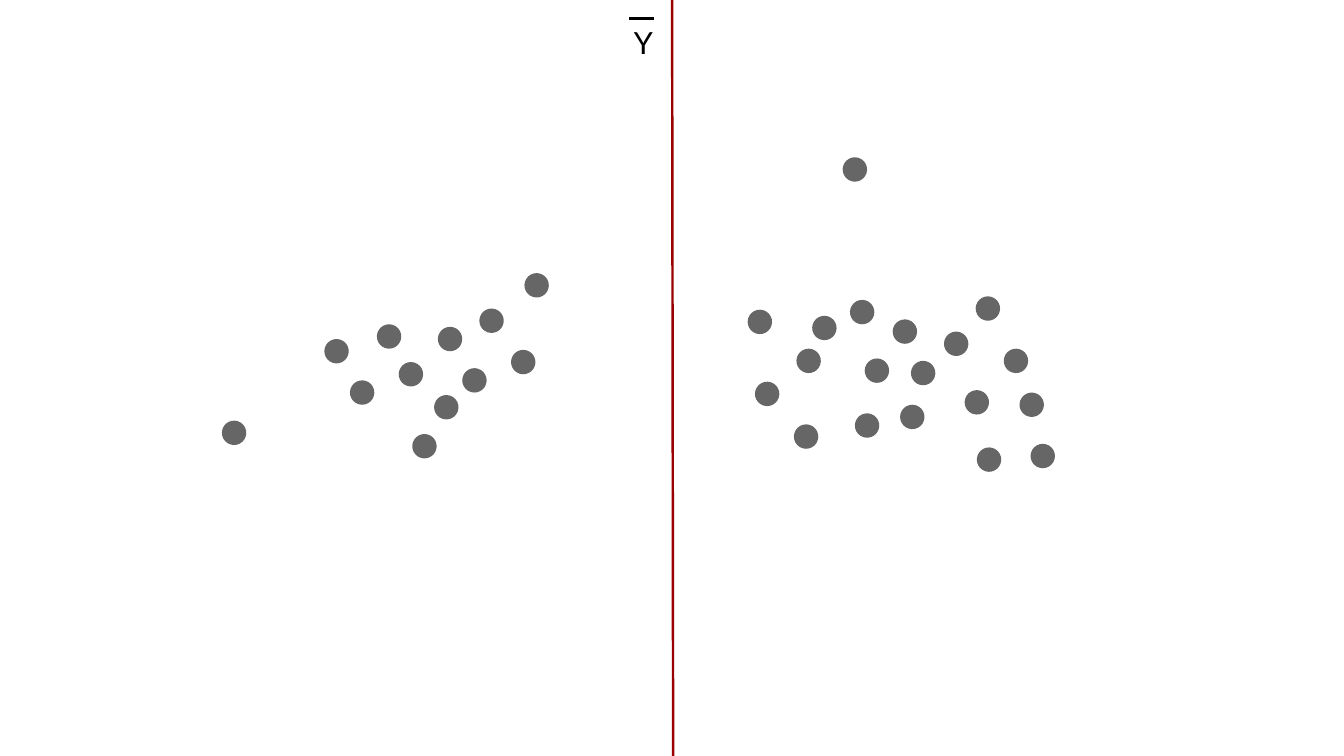
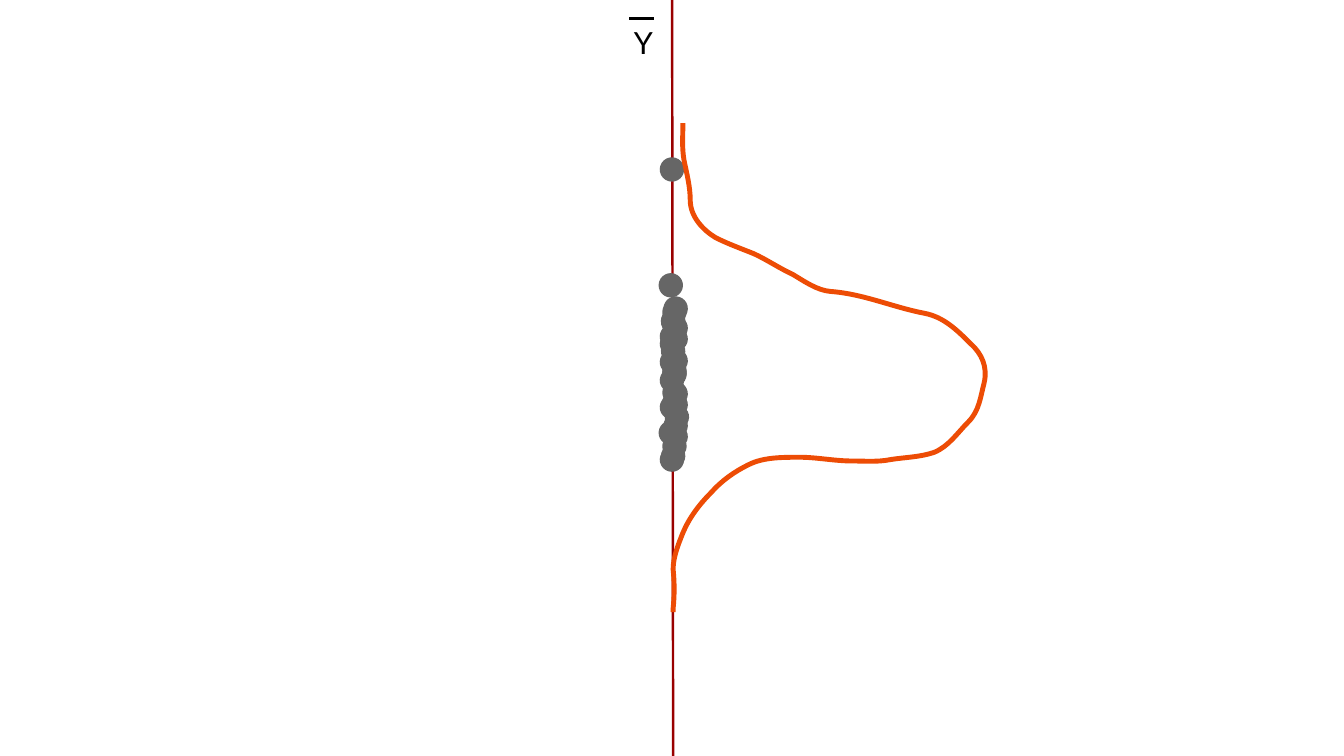
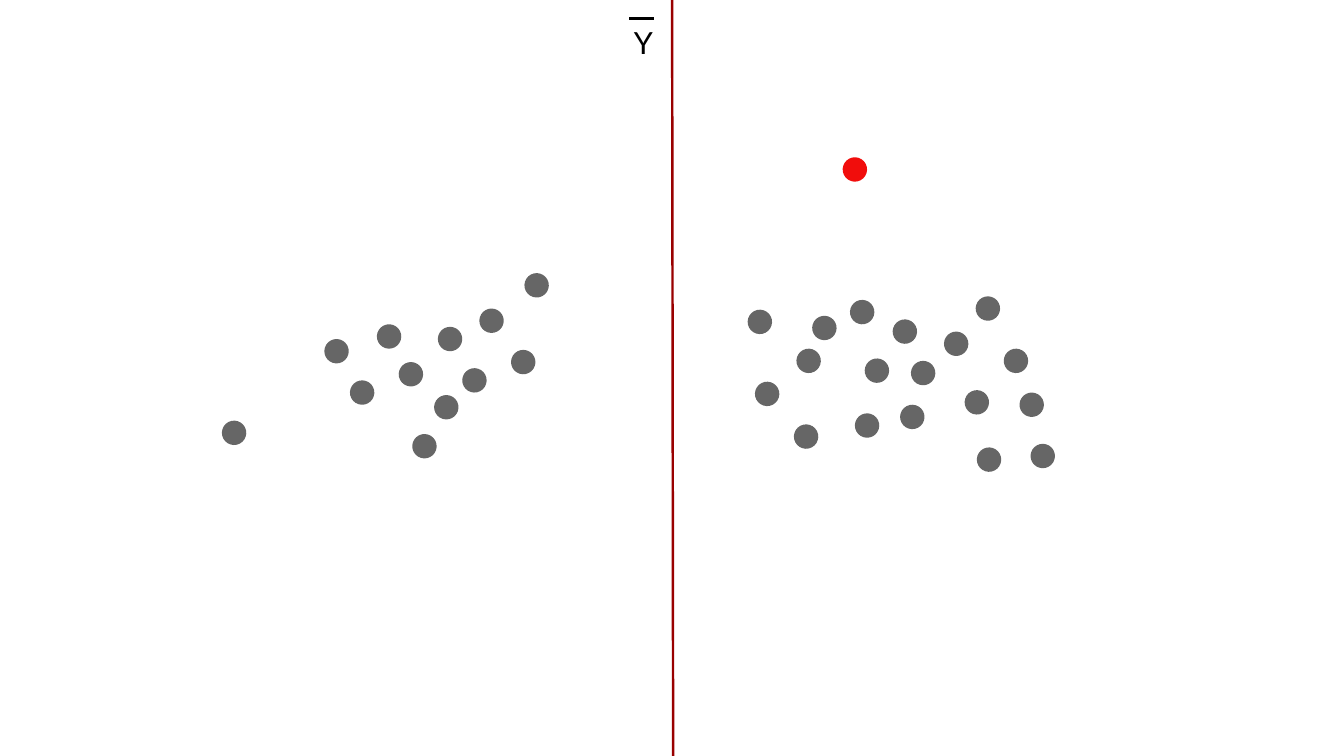
from collections import namedtuple
from dataclasses import dataclass

from lxml import etree
from pptx import Presentation
from pptx.dml.color import RGBColor
from pptx.enum.shapes import MSO_CONNECTOR, MSO_SHAPE
from pptx.enum.text import MSO_AUTO_SIZE, PP_ALIGN
from pptx.oxml.ns import qn
from pptx.util import Pt


@dataclass(frozen=True)
class Theme:
    """Colours, type and line sizes shared by the slides."""

    paper: str = "FFFFFF"
    ink: str = "000000"
    dot: str = "666666"
    outlier: str = "F10D0C"
    mean: str = "990000"
    density: str = "ED4C05"
    font: str = "Lato"
    label_size: float = 18
    mean_width: float = 1.45
    density_width: float = 2.89
    dot_size: float = 14.4
    dot_turn: float = 47.5


THEME = Theme()
Box = namedtuple("Box", "left top width height")
Observation = namedtuple("Observation", "left top stacked_left")

PLOT = Box(0, 0, 793.44, 446.4)
MEAN_LABEL = Box(367.2, 10.8, 28.8, 28.8)
MEAN_TOP_X, MEAN_BOTTOM_X = 396.8, 397.4

OBSERVATIONS = [Observation(*row) for row in (
    (537.8, 213.1, 391), (501.8, 177.1, 391), (470.2, 205.9, 391),
    (510.5, 211.7, 391), (468.7, 250.6, 391.7), (504.7, 244.1, 391.7),
    (527, 188.6, 391), (479.5, 186.5, 391.7), (441.4, 182.9, 390.2),
    (497.5, 92.9, 389.5), (445.7, 225.4, 391.7), (531.4, 239, 392.4),
    (283, 182.2, 390.2), (258.5, 193, 391.7), (235.4, 213.8, 391),
    (272.9, 217.4, 389.5), (256.3, 233.3, 389.5), (301.7, 206.6, 389.5),
    (309.6, 161.3, 388.8), (243.4, 256.3, 391), (222.5, 191.5, 389.5),
    (206.6, 224.6, 391), (131, 248.4, 388.8), (557.3, 195.8, 389.5),
    (569.5, 230.4, 391), (576, 175, 391.7), (592.6, 205.9, 391.7),
    (601.9, 231.8, 391.7), (191.5, 200.2, 390.2), (576.7, 264.2, 389.5),
    (608.4, 262.1, 390.2),
)]
OUTLIER = min(OBSERVATIONS, key=lambda observation: observation.top)

DENSITY_START = (403.2, 72.7)
DENSITY_CURVES = (
    ((403.2, 79.9), (402.5, 87.1), (403.9, 95)),
    ((405.4, 102.2), (407.5, 110.2), (407.5, 118.1)),
    ((407.5, 128.2), (415.4, 136.1), (422.6, 140.4)),
    ((429.8, 144), (437.8, 146.9), (445, 149.8)),
    ((452.9, 153.4), (460.1, 158.4), (468, 162)),
    ((475.2, 166.3), (482.4, 171.4), (490.3, 172.1)),
    ((509.8, 173.5), (527, 181.4), (545.8, 185)),
    ((557.3, 187.2), (565.2, 195.1), (573.1, 203)),
    ((579.6, 208.8), (583.2, 216.7), (581, 226.1)),
    ((578.9, 234), (578.2, 242.6), (571.7, 249.1)),
    ((565.2, 255.6), (560.2, 263.5), (551.5, 267.1)),
    ((542.9, 270), (534.2, 270), (525.6, 271.4)),
    ((518.4, 272.9), (510.5, 272.2), (503.3, 272.2)),
    ((492.5, 272.2), (482.4, 270), (472.3, 270)),
    ((461.5, 270), (450.7, 270), (442.1, 274.3)),
    ((433.4, 278.6), (426.2, 283.7), (419.8, 290.9)),
    ((412.6, 298.1), (406.8, 306), (403.2, 314.6)),
    ((400.3, 321.8), (397.4, 329), (397.4, 336.2)),
    ((398.2, 344.2), (398.2, 351.4), (397.4, 359.3)),
)
DENSITY_END = (397.4, 361.4)


def add_text(slide, box, text, *, size, color, font=THEME.font, align=PP_ALIGN.LEFT):
    """Place one line of formatted text in a box."""
    label = slide.shapes.add_textbox(*map(Pt, box))
    frame = label.text_frame
    frame.word_wrap = True
    frame.auto_size = MSO_AUTO_SIZE.SHAPE_TO_FIT_TEXT
    paragraph = frame.paragraphs[0]
    paragraph.alignment = align
    run = paragraph.add_run()
    run.text = text
    run.font.name = font
    run.font.size = Pt(size)
    run.font.color.rgb = RGBColor.from_string(color)


def add_line(slide, start, end, *, color, width):
    """Draw a straight line without a shadow."""
    line = slide.shapes.add_connector(MSO_CONNECTOR.STRAIGHT, *map(Pt, (*start, *end)))
    line.line.color.rgb = RGBColor.from_string(color)
    line.line.width = Pt(width)
    etree.SubElement(line._element.spPr, qn("a:effectLst"))


def add_dot(slide, left, top, color):
    """Draw one observation."""
    dot = slide.shapes.add_shape(
        MSO_SHAPE.OVAL, Pt(left), Pt(top), Pt(THEME.dot_size), Pt(THEME.dot_size))
    dot.rotation = THEME.dot_turn
    dot.shadow.inherit = False
    dot.fill.solid()
    dot.fill.fore_color.rgb = RGBColor.from_string(color)
    dot.line.fill.background()


def add_observations(slide, box, *, stacked=False, outlier_color=THEME.dot):
    """Draw all observations, spread out or stacked along the mean."""
    for observation in OBSERVATIONS:
        left = observation.stacked_left if stacked else observation.left
        color = outlier_color if observation is OUTLIER else THEME.dot
        add_dot(slide, box.left + left, box.top + observation.top, color)


def add_mean_line(slide, box):
    """Draw the mean line through the full height of the box."""
    add_line(slide, (box.left + MEAN_BOTTOM_X, box.top + box.height),
             (box.left + MEAN_TOP_X, box.top),
             color=THEME.mean, width=THEME.mean_width)


def add_mean_label(slide, box):
    """Write Y with a bar above it."""
    add_text(slide, box, "Y", size=THEME.label_size, color=THEME.ink)
    add_line(slide, (box.left + 4.3, box.top), (box.left + 18.7, box.top),
             color=THEME.ink, width=0)


def add_density(slide, box):
    """Draw the density outline as joined Bézier curves."""
    def place(point):
        return Pt(box.left + point[0]), Pt(box.top + point[1])

    builder = slide.shapes.build_freeform(*place(DENSITY_START))
    points = [point for curve in DENSITY_CURVES for point in curve]
    builder.add_line_segments(map(place, [*points, DENSITY_END]), close=False)
    density = builder.convert_to_shape()
    density.shadow.inherit = False
    density.fill.background()
    density.line.color.rgb = RGBColor.from_string(THEME.density)
    density.line.width = Pt(THEME.density_width)
    segments = list(density._element.iter(qn("a:lnTo")))
    for first in range(0, len(points), 3):
        curve = etree.Element(qn("a:cubicBezTo"))
        segments[first].addprevious(curve)
        for segment in segments[first:first + 3]:
            curve.append(segment[0])
            segment.getparent().remove(segment)


def add_plain_slide(deck):
    """Add a blank slide with the shared background."""
    slide = deck.slides.add_slide(deck.slide_layouts[6])
    slide.background.fill.solid()
    slide.background.fill.fore_color.rgb = RGBColor.from_string(THEME.paper)
    return slide


def add_scatter_slide(deck, outlier_color=THEME.dot):
    """Show the observations spread on both sides of the mean line."""
    slide = add_plain_slide(deck)
    add_observations(slide, PLOT, outlier_color=outlier_color)
    add_mean_line(slide, PLOT)
    add_mean_label(slide, MEAN_LABEL)


def add_density_slide(deck):
    """Show the observations stacked on the mean line with their density."""
    slide = add_plain_slide(deck)
    add_mean_line(slide, PLOT)
    add_observations(slide, PLOT, stacked=True)
    add_mean_label(slide, MEAN_LABEL)
    add_density(slide, PLOT)


def main():
    """Build and save the deck."""
    deck = Presentation()
    deck.slide_width, deck.slide_height = Pt(PLOT.width), Pt(PLOT.height)
    add_scatter_slide(deck)
    add_density_slide(deck)
    add_scatter_slide(deck, outlier_color=THEME.outlier)
    deck.save("out.pptx")


if __name__ == "__main__":
    main()
